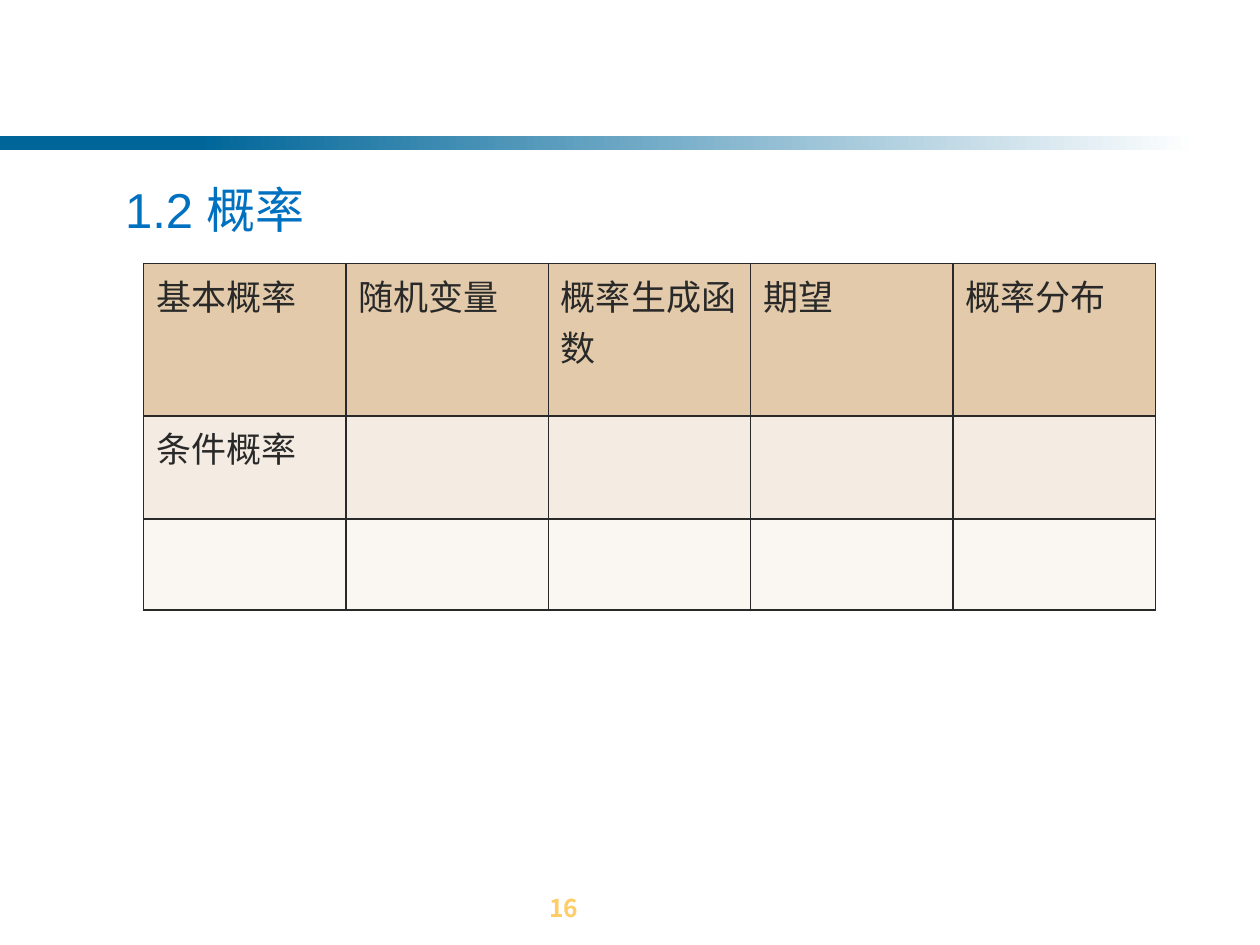
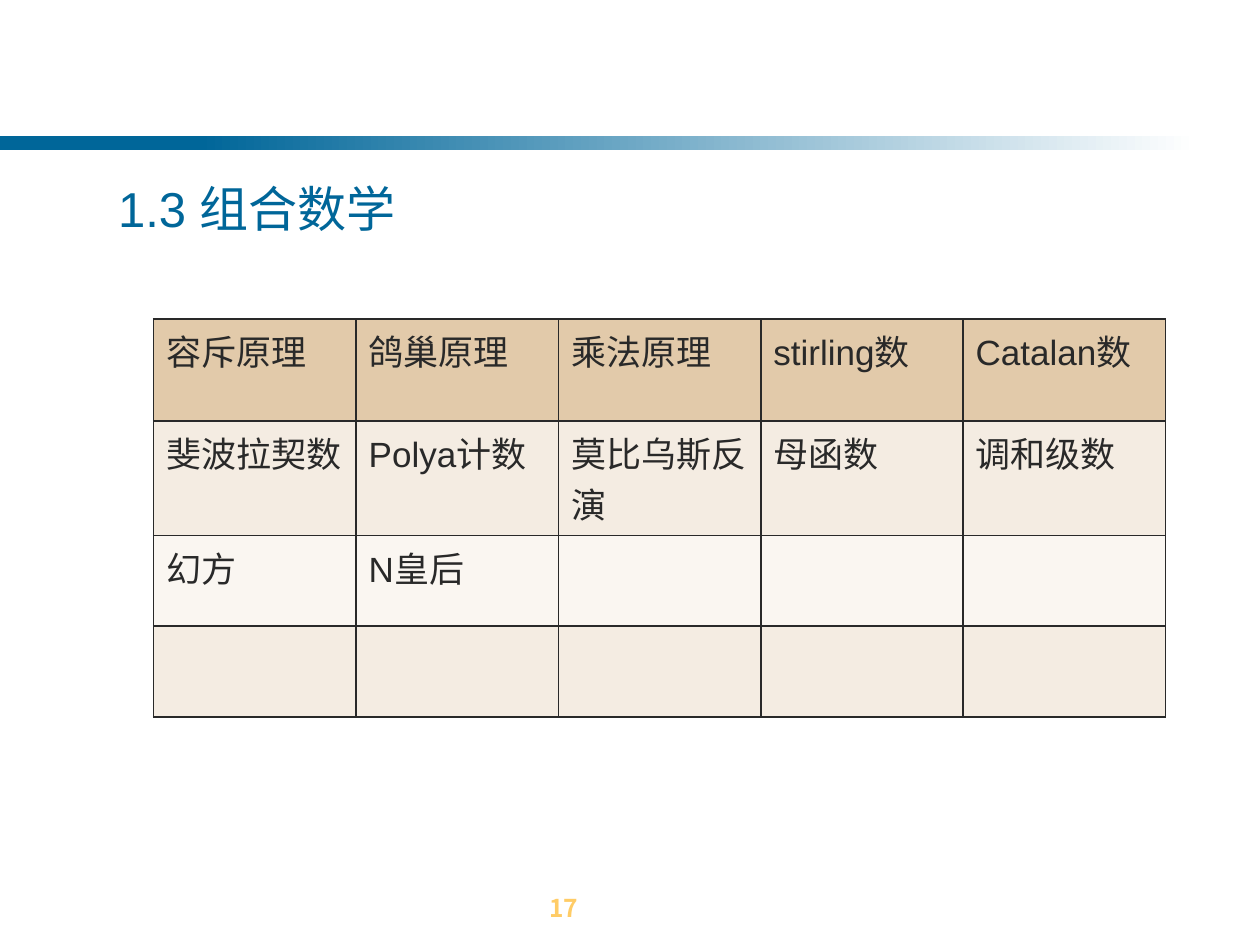
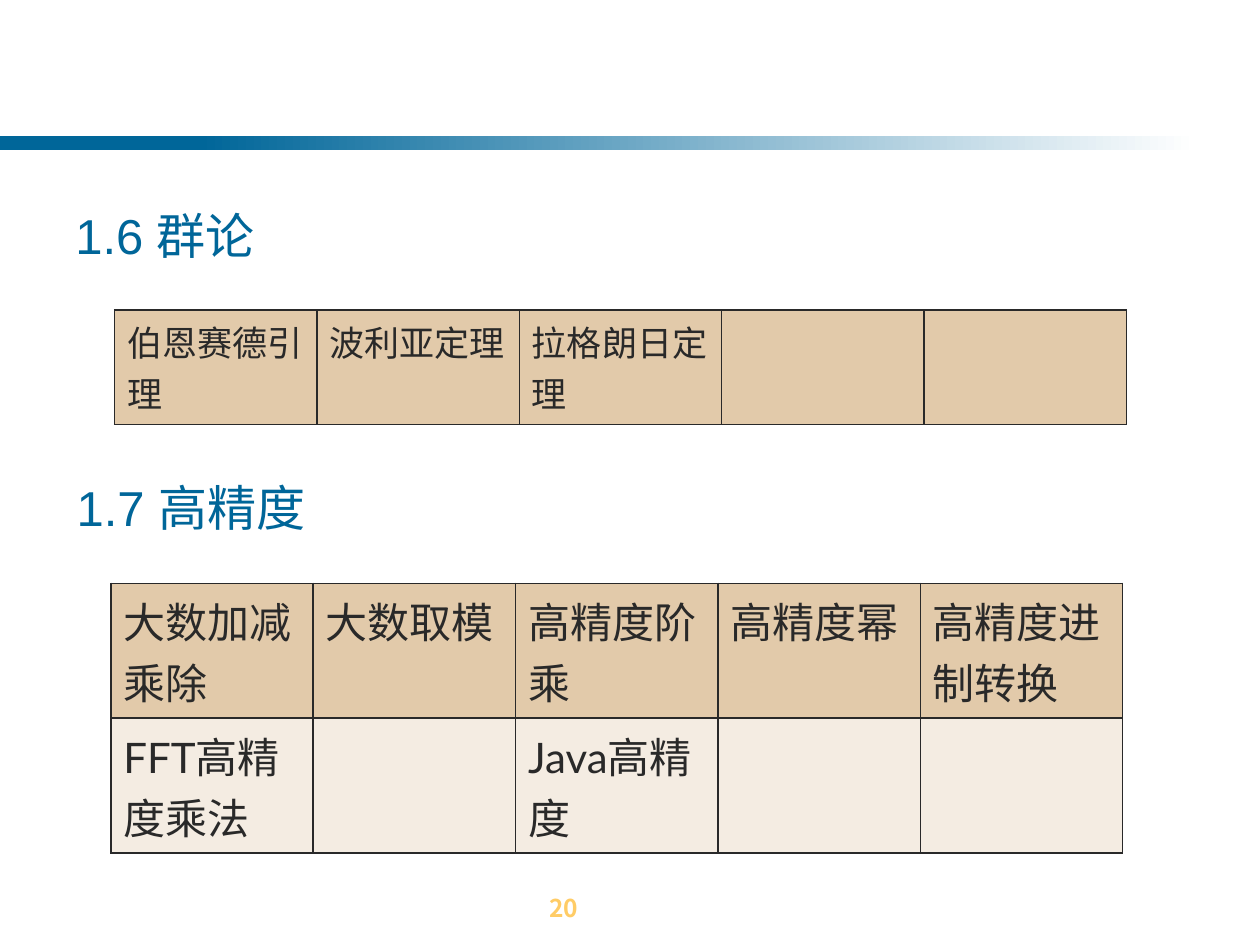
from dataclasses import dataclass

from lxml import etree
from pptx import Presentation
from pptx.dml.color import RGBColor
from pptx.enum.shapes import MSO_SHAPE
from pptx.enum.text import MSO_ANCHOR, PP_ALIGN
from pptx.oxml.ns import qn
from pptx.util import Inches, Pt

RECT = MSO_SHAPE.RECTANGLE
LEFT, CENTER = PP_ALIGN.LEFT, PP_ALIGN.CENTER
TOP, BOTTOM = MSO_ANCHOR.TOP, MSO_ANCHOR.BOTTOM

COLORS = {
    "band": "006699",
    "title": "0070C0",
    "white": "FFFFFF",
    "number": "FFCC66",
    "ink": "292929",
    "header": "E2CAAA",
    "odd": "F4ECE2",
    "even": "FAF6F1",
}
CJK = "Noto Sans CJK SC"
COLUMNS = 5
TABLE_WIDTH = 8.03


@dataclass
class Heading:
    text: str
    left: float
    top: float
    width: float
    height: float = 0.58
    color: str = "band"
    align: PP_ALIGN = LEFT
    anchor: MSO_ANCHOR = TOP


@dataclass
class TopicTable:
    """Rows of topics; cells missing at the end of a row stay empty."""
    left: float
    top: float
    heights: list[float]
    rows: list[list[str]]
    size: int = 20
    font: str = "Lato"


@dataclass
class Page:
    number: int
    headings: list[Heading]
    tables: list[TopicTable]


PAGES = [
    Page(16,
         [Heading("1.2 概率", 0.32, 1.08, 2.77, 0.81, "title", CENTER, BOTTOM)],
         [TopicTable(1.14, 2.09, [1.21, 0.82, 0.72], [
             ["基本概率", "随机变量", "概率生成函数", "期望", "概率分布"],
             ["条件概率"],
             [],
         ])]),
    Page(17,
         [Heading("1.3 组合数学", 0.84, 1.41, 5.33)],
         [TopicTable(1.22, 2.53, [0.81, 0.91, 0.72, 0.72], [
             ["容斥原理", "鸽巢原理", "乘法原理", "stirling数", "Catalan数"],
             ["斐波拉契数", "Polya计数", "莫比乌斯反演", "母函数", "调和级数"],
             ["幻方", "N皇后"],
             [],
         ], font="Arial")]),
    Page(20,
         [Heading("1.6 群论", 0.5, 1.62, 9), Heading("1.7 高精度", 0.51, 3.78, 5.28)],
         [TopicTable(0.91, 2.46, [0.91], [
             ["伯恩赛德引理", "波利亚定理", "拉格朗日定理"],
         ], font="Arial"),
          TopicTable(0.88, 4.63, [1.07, 1.07], [
              ["大数加减乘除", "大数取模", "高精度阶乘", "高精度幂", "高精度进制转换"],
              ["FFT高精度乘法", "", "Java高精度"],
          ], size=24)]),
]


def rgb(name: str) -> RGBColor:
    return RGBColor.from_string(COLORS[name])


def write(tf, text: str, *, size: int, color: str, font: str = "Arial",
          bold: bool = False, align: PP_ALIGN = LEFT) -> None:
    p = tf.paragraphs[0]
    p.alignment = align
    r = p.add_run()
    r.text = text
    r.font.size = Pt(size)
    r.font.name = font
    r.font.bold = bold
    r.font.color.rgb = rgb(color)
    ea = etree.SubElement(r._r.get_or_add_rPr(), qn("a:ea"))
    ea.set("typeface", CJK)


def add_band(s, left: float, width: float, fades: bool) -> None:
    sp = s.shapes.add_shape(RECT, Inches(left), Inches(1.08), Inches(width), Inches(0.11))
    sp.shadow.inherit = False
    sp.line.fill.background()
    if fades:
        sp.fill.gradient()
        sp.fill.gradient_angle = 0
        for stop, color in zip(sp.fill.gradient_stops, ("band", "white")):
            stop.color.rgb = rgb(color)
    else:
        sp.fill.solid()
        sp.fill.fore_color.rgb = rgb("band")


def add_frame(s, number: int) -> None:
    """Draw the bands and page number that every slide has."""
    add_band(s, 0, 2.33, False)
    add_band(s, 1.58, 7.92, True)
    sp = s.shapes.add_textbox(Inches(0.16), Inches(7.04), Inches(9.84), Inches(0.33))
    tf = sp.text_frame
    tf.word_wrap = True
    tf.margin_left = Inches(4.2)
    tf.margin_bottom = 0
    write(tf, str(number), size=14, color="number", font=CJK, bold=True)


def add_heading(s, h: Heading) -> None:
    sp = s.shapes.add_textbox(Inches(h.left), Inches(h.top), Inches(h.width), Inches(h.height))
    tf = sp.text_frame
    tf.word_wrap = True
    tf.margin_top = Inches(0.01)
    tf.margin_bottom = 0
    tf.vertical_anchor = h.anchor
    write(tf, h.text, size=28, color=h.color, align=h.align)


def add_borders(cell) -> None:
    tc_pr = cell._tc.get_or_add_tcPr()
    for side in ("L", "R", "T", "B"):
        ln = etree.SubElement(tc_pr, qn(f"a:ln{side}"), w=str(Pt(1)))
        fill = etree.SubElement(ln, qn("a:solidFill"))
        etree.SubElement(fill, qn("a:srgbClr"), val=COLORS["ink"])


def add_topics(s, t: TopicTable) -> None:
    frame = s.shapes.add_table(len(t.rows), COLUMNS, Inches(t.left), Inches(t.top),
                               Inches(TABLE_WIDTH), Inches(sum(t.heights)))
    table = frame.table
    table.first_row = False
    table.horz_banding = False
    for i, (height, topics) in enumerate(zip(t.heights, t.rows)):
        table.rows[i].height = Inches(height)
        fill = "header" if i == 0 else "odd" if i % 2 else "even"
        for j in range(COLUMNS):
            cell = table.cell(i, j)
            add_borders(cell)
            cell.fill.solid()
            cell.fill.fore_color.rgb = rgb(fill)
            if j < len(topics) and topics[j]:
                write(cell.text_frame, topics[j], size=t.size, color="ink", font=t.font)


def main() -> None:
    prs = Presentation()
    prs.slide_width, prs.slide_height = Inches(10), Inches(7.5)
    for page in PAGES:
        s = prs.slides.add_slide(prs.slide_layouts[6])
        add_frame(s, page.number)
        for heading in page.headings:
            add_heading(s, heading)
        for table in page.tables:
            add_topics(s, table)
    prs.save("out.pptx")


if __name__ == "__main__":
    main()
